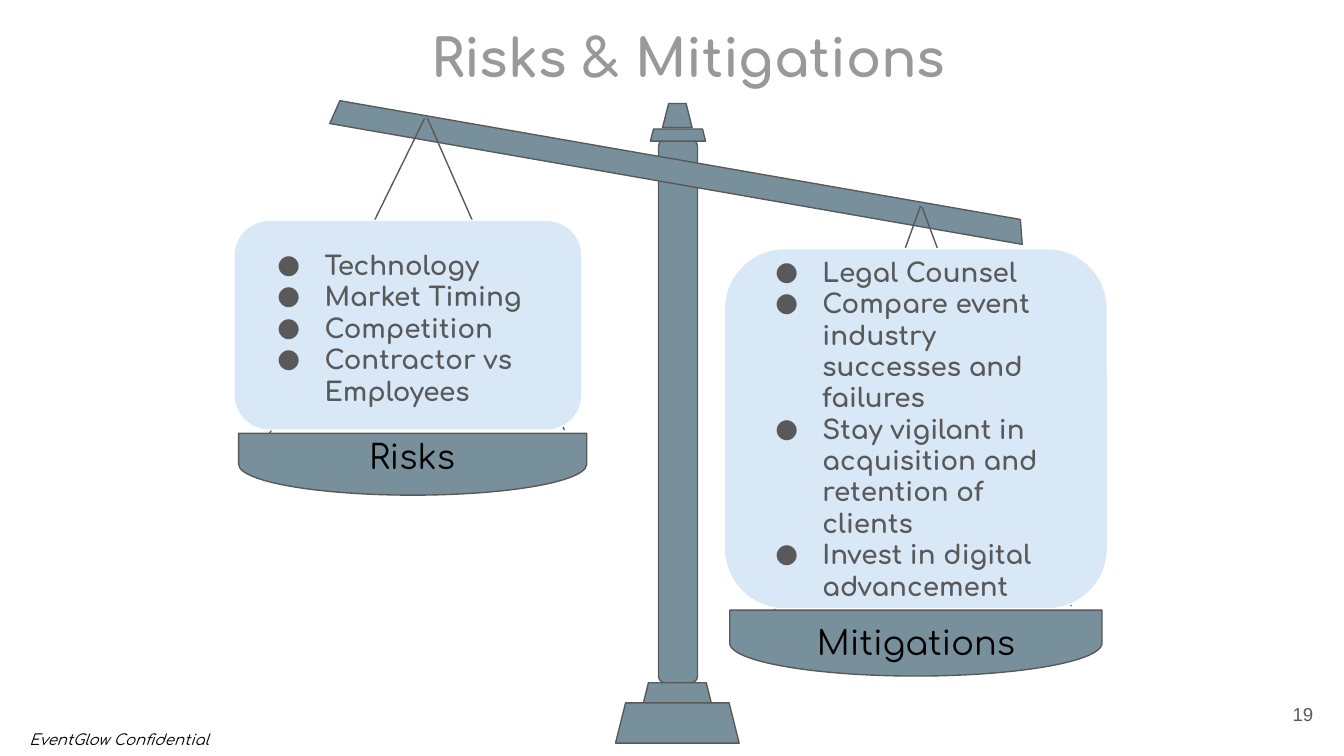
from lxml import etree
from pptx import Presentation
from pptx.dml.color import RGBColor
from pptx.enum.shapes import MSO_CONNECTOR, MSO_SHAPE
from pptx.enum.text import MSO_ANCHOR, PP_ALIGN
from pptx.oxml.ns import qn
from pptx.util import Pt

EMU_PER_PX = 9144
STEEL = RGBColor(0x78, 0x90, 0x9C)
SLATE = RGBColor(0x59, 0x59, 0x59)
SKY = RGBColor(0xD8, 0xE8, 0xF7)
GRAY = RGBColor(0x99, 0x99, 0x99)
WHITE = RGBColor(0xFF, 0xFF, 0xFF)
BLACK = RGBColor(0, 0, 0)

ROUNDED = MSO_SHAPE.ROUNDED_RECTANGLE
TRAPEZOID = MSO_SHAPE.TRAPEZOID
DELAY = MSO_SHAPE.FLOWCHART_DELAY
STRAIGHT = MSO_CONNECTOR.STRAIGHT
TOP, MIDDLE, BOTTOM = MSO_ANCHOR.TOP, MSO_ANCHOR.MIDDLE, MSO_ANCHOR.BOTTOM
LEFT, CENTER, RIGHT = PP_ALIGN.LEFT, PP_ALIGN.CENTER, PP_ALIGN.RIGHT

TITLE = {"name": "Comfortaa", "size": Pt(28), "bold": True}
LABEL = {"name": "Comfortaa", "size": Pt(18)}
ITEM = {"name": "Comfortaa", "size": Pt(14), "bold": True}
FOOTER = {"name": "Comfortaa", "size": Pt(8), "italic": True}
NUMBER = {"name": "Arial", "size": Pt(10)}

RISKS = ["Technology", "Market Timing", "Competition", "Contractor vs Employees"]
MITIGATIONS = [
    "Legal Counsel",
    "Compare event industry successes and failures",
    "Stay vigilant in acquisition and retention of clients",
    "Invest in digital advancement",
]


def px(value):
    return value * EMU_PER_PX


def add_span(para, text, style, color):
    span = para.add_run()
    span.text = text
    for name, value in style.items():
        setattr(span.font, name, value)
    span.font.color.rgb = color


def set_frame(frame, anchor):
    settings = {"word_wrap": True, "vertical_anchor": anchor}
    for side in ("left", "top", "right", "bottom"):
        settings[f"margin_{side}"] = px(10)
    for name, value in settings.items():
        setattr(frame, name, value)


def add_text(page, area, text, style, color, align=CENTER, anchor=TOP):
    box = page.shapes.add_textbox(*map(px, area))
    set_frame(box.text_frame, anchor)
    para = box.text_frame.paragraphs[0]
    para.alignment = align
    add_span(para, text, style, color)


def add_part(page, kind, area, fill=STEEL, line=SLATE, rotation=0):
    part = page.shapes.add_shape(kind, *map(px, area))
    part.shadow.inherit = False
    part.fill.solid()
    part.fill.fore_color.rgb = fill
    part.line.color.rgb = line
    part.line.width = Pt(0.75)
    part.rotation = rotation
    part._element.spPr.find(qn("a:xfrm")).set("flipH", "1")
    return part


def add_cord(page, start, end):
    cord = page.shapes.add_connector(STRAIGHT, *map(px, start + end))
    cord.line.color.rgb = SLATE
    cord.line.width = Pt(0.75)
    etree.SubElement(cord._element.spPr, qn("a:effectLst"))


def add_bullet(para):
    properties = para._p.get_or_add_pPr()
    properties.set("marL", str(px(50)))
    properties.set("indent", str(px(-35)))
    color = etree.SubElement(properties, qn("a:buClr"))
    etree.SubElement(color, qn("a:srgbClr"), val=str(SLATE))
    etree.SubElement(properties, qn("a:buFont"), typeface=ITEM["name"])
    etree.SubElement(properties, qn("a:buChar"), char="●")


def add_card(page, area, items, anchor):
    card = add_part(page, ROUNDED, area, SKY, WHITE)
    frame = card.text_frame
    set_frame(frame, anchor)
    for index, item in enumerate(items):
        para = frame.add_paragraph() if index else frame.paragraphs[0]
        para.alignment = LEFT
        add_bullet(para)
        add_span(para, item, ITEM, SLATE)


def add_stand(page):
    add_part(page, ROUNDED, (490, 104, 29, 404))
    add_part(page, TRAPEZOID, (478, 508, 52, 18))
    add_part(page, TRAPEZOID, (243, 119, 523, 18), rotation=9.9)
    add_part(page, TRAPEZOID, (484, 96, 41, 9))
    add_part(page, TRAPEZOID, (493, 77, 22, 18))
    add_part(page, TRAPEZOID, (458, 523, 92, 30))


def add_pan(page, pan, cords, card, items, anchor, label_area, label):
    for start, end in cords:
        add_cord(page, start, end)
    add_card(page, card, items, anchor)
    add_part(page, DELAY, pan, rotation=270)
    add_text(page, label_area, label, LABEL, BLACK)


def main():
    deck = Presentation()
    deck.slide_width = px(1000)
    deck.slide_height = px(1000) * 9 // 16
    page = deck.slides.add_slide(deck.slide_layouts[6])

    add_text(page, (12, 537, 170, 25), "EventGlow Confidential", FOOTER, BLACK, LEFT)
    add_text(page, (927, 510, 60, 43), "19", NUMBER, SLATE, RIGHT, MIDDLE)
    add_stand(page)
    add_text(page, (46, 9, 932, 63), "Risks & Mitigations", TITLE, GRAY)
    add_pan(page, (284, 216, 46, 259),
            [((318, 88), (420, 320)), ((316, 88), (200, 324))],
            (174, 164, 259, 156), RISKS, BOTTOM, (212, 314, 189, 73), "Risks")
    add_pan(page, (657, 340, 49, 277),
            [((686, 154), (797, 451)), ((685, 153), (576, 455))],
            (539, 185, 285, 268), MITIGATIONS, MIDDLE, (587, 453, 189, 82), "Mitigations")

    deck.save("out.pptx")


if __name__ == "__main__":
    main()
